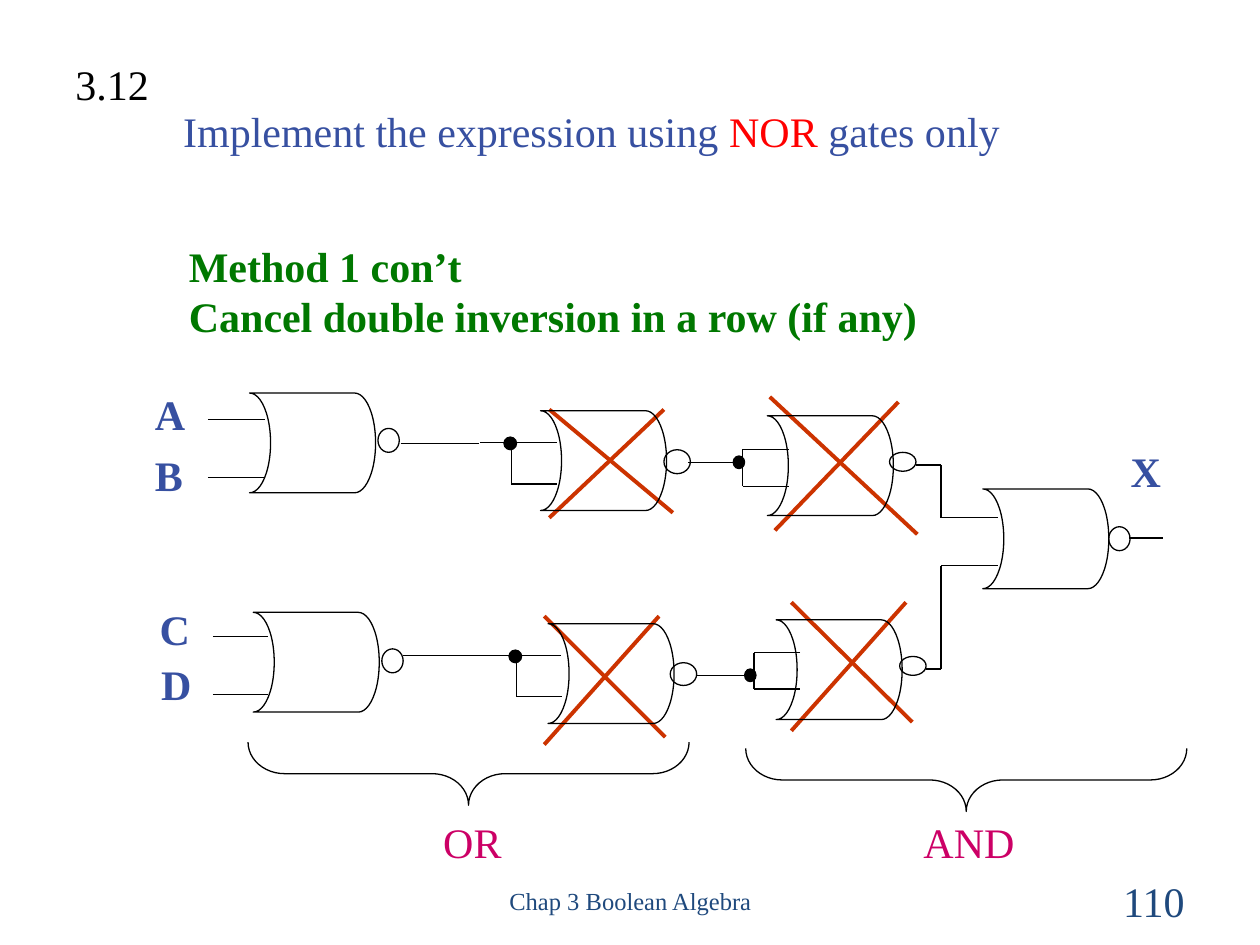
from dataclasses import dataclass
from itertools import pairwise

from lxml.etree import SubElement
from pptx import Presentation
from pptx.dml.color import RGBColor
from pptx.enum.shapes import MSO_CONNECTOR, MSO_SHAPE
from pptx.enum.text import MSO_ANCHOR, MSO_AUTO_SIZE, PP_ALIGN
from pptx.oxml.ns import qn
from pptx.util import Pt

COLORS = {
    "ink": "000000",
    "footer": "1F497D",
    "label": "3750A1",
    "method": "007800",
    "function": "CC0066",
    "highlight": "FF0000",
    "cross": "CC3300",
}
FONT = "Times New Roman"
GATE_SIZE = (72, 57)
Point = tuple[float, float]


@dataclass
class Label:
    frame: tuple[float, float, float, float]
    lines: list[list[tuple[str, str]]]  # paragraphs of (text, colour name)
    size: float = 24
    bold: bool = False
    align: PP_ALIGN = PP_ALIGN.LEFT
    wrap: bool = False
    spacing: float = 1.0
    middle: bool = False


@dataclass
class Gate:
    corner: Point
    bubble: tuple[float, float, float, float]


@dataclass
class Cross:
    falling: tuple[Point, Point]
    rising: tuple[Point, Point]


LABELS = [
    Label((246.2, 500.4, 228.2, 28.8), [[("Chap 3 Boolean Algebra", "footer")]],
          size=14, align=PP_ALIGN.CENTER, wrap=True, middle=True),
    Label((516.2, 500.4, 167.8, 28.8), [[("110", "footer")]],
          align=PP_ALIGN.RIGHT, wrap=True, middle=True),
    Label((100.8, 133.9, 431.3, 64.8),
          [[("Method 1 con’t", "method")],
           [("Cancel double inversion in a row (if any)", "method")]], bold=True),
    Label((246.2, 463, 47.5, 36), [[("OR", "function")]]),
    Label((520.6, 463, 67, 36), [[("AND", "function")]]),
    Label((36, 30.2, 56.2, 36), [[("3.12", "ink")]]),
    Label((69.8, 62.6, 536.4, 30.2),
          [[("Implement the expression using ", "label"), ("NOR", "highlight"),
            (" gates only", "label")]],
          align=PP_ALIGN.CENTER, wrap=True, spacing=0.8),
    Label((81.4, 218.2, 31.7, 36), [[("A", "label")]], bold=True),
    Label((81.4, 253.4, 31.7, 36), [[("B", "label")]], bold=True, wrap=True),
    Label((84.2, 341.3, 31.7, 36), [[("C", "label")]], bold=True),
    Label((85, 373, 31.7, 36), [[("D", "label")]], bold=True),
    Label((631.4, 251.3, 46.8, 36), [[("X", "label")]], bold=True,
          align=PP_ALIGN.CENTER, wrap=True),
]

GATES = [
    # Upper row: A NOR B, then two inverters
    Gate((142.6, 224.6), (216, 244.8, 12.2, 13.7)),
    Gate((308.9, 234.7), (379.4, 257, 15.1, 13.7)),
    Gate((438.5, 237.6), (508.3, 258.5, 15.1, 10.8)),
    # Lower row: C NOR D, then two inverters
    Gate((144.7, 349.9), (218.2, 370.8, 12.2, 13.7)),
    Gate((313.2, 356.4), (383, 378.7, 15.1, 13)),
    Gate((443.5, 354.2), (514.1, 375.1, 15.1, 10.8)),
    # Output gate
    Gate((561.6, 279.4), (633.6, 301, 12.2, 13.7)),
]

JUNCTIONS = [(288, 249.8, 7.2, 7.2), (419, 260.6, 6.5, 7.2),
             (290.9, 371.5, 7.2, 7.2), (425.5, 382.3, 6.5, 7.2)]

WIRES: list[list[Point]] = [
    # Inputs A, B, C, D
    [(118.8, 239.8), (151.2, 239.8)],
    [(118.8, 272.9), (151.2, 272.9)],
    [(121.7, 363.6), (153.4, 363.6)],
    [(121.7, 396.7), (153.4, 396.7)],
    # Upper row
    [(229, 253.4), (273.6, 253.4)],
    [(274.3, 252.7), (318.2, 252.7)],
    [(292.3, 255.6), (292.3, 276.5), (318.2, 276.5)],
    [(393.1, 264.2), (420.5, 264.2)],
    [(450.7, 256.7), (424.4, 256.7), (424.4, 277.9), (450.7, 277.9)],
    [(523.4, 265.7), (537.8, 265.7), (537.8, 295.9), (570.2, 295.9)],
    # Lower row
    [(230.4, 374.4), (320.4, 374.4)],
    [(295.2, 376.6), (295.2, 398.2), (321.1, 398.2)],
    [(398.2, 385.9), (425.5, 385.9)],
    [(457.2, 373), (430.9, 373), (430.9, 393.8), (457.2, 393.8)],
    [(529.2, 382.3), (537.8, 382.3), (537.8, 323.3), (570.2, 323.3)],
    # Output X
    [(645.1, 307.4), (664.6, 307.4)],
]

CROSSES = [
    Cross(((313.9, 234), (384.5, 293)), ((379.4, 234), (313.9, 295.9))),
    Cross(((439.9, 226.8), (524.2, 305.3)), ((513.4, 229.7), (442.8, 303.1))),
    Cross(((311, 352.1), (380.2, 421.2)), ((376.6, 352.1), (311, 425.5))),
    Cross(((452.2, 344.2), (521.3, 412.6)), ((517.7, 344.2), (452.2, 417.6))),
]

BRACES = [(249.8, 316.1, 36, 252), (534.2, 319.7, 36, 252)]


def color(name: str) -> RGBColor:
    return RGBColor.from_string(COLORS[name])


def draw_label(page, label: Label) -> None:
    box = page.shapes.add_textbox(*map(Pt, label.frame))
    frame = box.text_frame
    frame.word_wrap = label.wrap
    if label.middle:
        frame.vertical_anchor = MSO_ANCHOR.MIDDLE
    else:
        frame.auto_size = MSO_AUTO_SIZE.SHAPE_TO_FIT_TEXT
    for index, spans in enumerate(label.lines):
        para = frame.add_paragraph() if index else frame.paragraphs[0]
        para.alignment = label.align
        para.line_spacing = label.spacing
        for text, tint in spans:
            span = para.add_run()
            span.text = text
            span.font.name = FONT
            span.font.size = Pt(label.size)
            span.font.bold = label.bold
            span.font.color.rgb = color(tint)


def draw_line(page, start: Point, end: Point, tint: str, width: float) -> None:
    line = page.shapes.add_connector(MSO_CONNECTOR.STRAIGHT, *map(Pt, start + end))
    line.line.color.rgb = color(tint)
    line.line.width = Pt(width)
    SubElement(line._element.spPr, qn("a:effectLst"))


def draw_outline(page, kind: MSO_SHAPE, frame: tuple[float, ...],
                 turn: float = 0, solid: bool = False):
    shape = page.shapes.add_shape(kind, *map(Pt, frame))
    shape.shadow.inherit = False
    shape.rotation = turn
    shape.line.color.rgb = color("ink")
    shape.line.width = Pt(0.75)
    if solid:
        shape.fill.solid()
        shape.fill.fore_color.rgb = color("ink")
    else:
        shape.fill.background()
    return shape


def main() -> None:
    deck = Presentation()
    deck.slide_width, deck.slide_height = Pt(720), Pt(540)
    page = deck.slides.add_slide(deck.slide_layouts[6])

    # Braces under the two halves of the circuit
    for frame in BRACES:
        brace = draw_outline(page, MSO_SHAPE.LEFT_BRACE, frame, turn=270)
        brace.adjustments[0], brace.adjustments[1] = 0.58, 0.5

    # Crosses over the cancelled inverters
    for cross in CROSSES:
        for stroke in (cross.rising, cross.falling):
            draw_line(page, *stroke, "cross", 2.25)

    # Circuit
    for wire in WIRES:
        for start, end in pairwise(wire):
            draw_line(page, start, end, "ink", 0.75)
    for gate in GATES:
        draw_outline(page, MSO_SHAPE.OVAL, gate.bubble)
        draw_outline(page, MSO_SHAPE.FLOWCHART_STORED_DATA,
                     gate.corner + GATE_SIZE, turn=180)
    for frame in JUNCTIONS:
        draw_outline(page, MSO_SHAPE.OVAL, frame, solid=True)

    # Headings, signal names and footer
    for label in LABELS:
        draw_label(page, label)

    deck.save("out.pptx")


if __name__ == "__main__":
    main()
